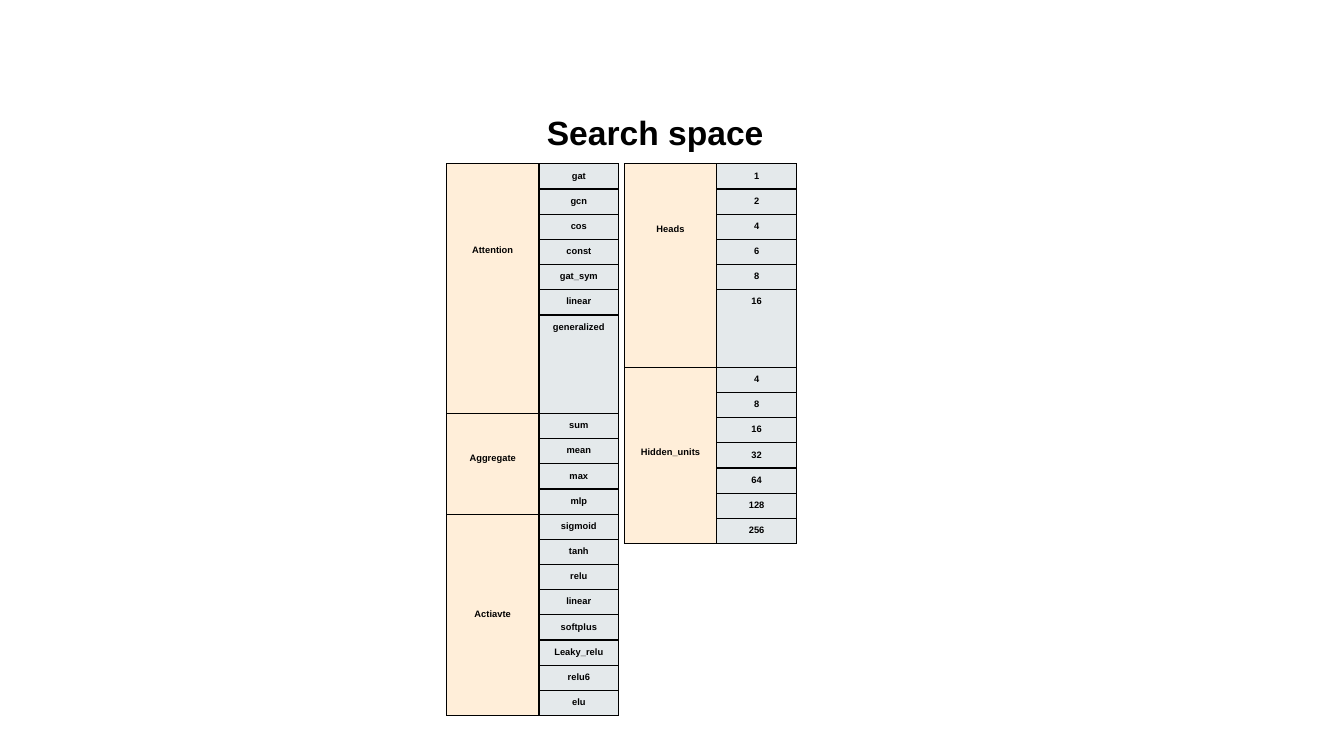
from dataclasses import dataclass

from lxml.etree import SubElement
from pptx import Presentation
from pptx.dml.color import RGBColor as RGB
from pptx.enum.text import MSO_ANCHOR as ANCHOR, MSO_AUTO_SIZE as AUTOSIZE, PP_ALIGN as ALIGN
from pptx.oxml.ns import qn
from pptx.util import Inches, Pt

SCALE = Inches(1) // 96
COLS = (66, 57)
ROW_H = 18
TABLE_TOP = 117
LEFT_GROUPS = [
    ("Attention", 58, 69, "gat gcn cos const gat_sym linear generalized"),
    ("Aggregate", 28, ROW_H, "sum mean max mlp"),
    ("Actiavte", 68, ROW_H, "sigmoid tanh relu linear softplus Leaky_relu relu6 elu"),
]
RIGHT_GROUPS = [
    ("Heads", 43, 55, "1 2 4 6 8 16"),
    ("Hidden_units", 57, ROW_H, "4 8 16 32 64 128 256"),
]


@dataclass(frozen=True)
class Theme:
    """Colours, font and type sizes of the slide."""
    font: str = "Arial"
    ink: RGB = RGB(0, 0, 0)
    label: RGB = RGB(0xFF, 0xEE, 0xD9)
    option: RGB = RGB(0xE4, 0xE9, 0xEB)
    title_size: Pt = Pt(18)
    cell_size: Pt = Pt(5)
    border: Pt = Pt(0.75)


THEME = Theme()


def px(n):
    """Turn pixels into EMU."""
    return n * SCALE


def set_attrs(obj, values):
    """Set each named attribute on an object."""
    for name, value in values.items():
        setattr(obj, name, value)


def write(tf, text, size, align):
    """Write one bold line of text."""
    p = tf.paragraphs[0]
    p.alignment = align
    r = p.add_run()
    r.text = text
    set_attrs(r.font, {"name": THEME.font, "size": size, "bold": True})
    r.font.color.rgb = THEME.ink


def add_borders(cell):
    """Draw a solid line on all four sides of a cell."""
    tcPr = cell._tc.get_or_add_tcPr()
    for i, side in enumerate(("lnL", "lnR", "lnT", "lnB")):
        ln = SubElement(tcPr, qn(f"a:{side}"), w=str(THEME.border))
        fill = SubElement(ln, qn("a:solidFill"))
        SubElement(fill, qn("a:srgbClr"), val=str(THEME.ink))
        tcPr.remove(ln)
        tcPr.insert(i, ln)


def style_cell(cell, fill):
    """Give a cell its fill, borders and side margins."""
    cell.fill.solid()
    cell.fill.fore_color.rgb = fill
    set_attrs(cell, {"margin_left": px(4), "margin_right": px(4),
                     "vertical_anchor": ANCHOR.TOP})
    add_borders(cell)


def add_title(s, text, box):
    """Place the slide title in its placeholder."""
    sp = s.shapes.title
    set_attrs(sp, dict(zip(("left", "top", "width", "height"), map(px, box))))
    tf = sp.text_frame
    set_attrs(tf, {"word_wrap": True, "auto_size": AUTOSIZE.NONE,
                   "vertical_anchor": ANCHOR.TOP})
    write(tf, text, THEME.title_size, ALIGN.LEFT)


def add_group(table, start, label, drop, last_h, options):
    """Fill one merged label with its options and return the next row."""
    end = start + len(options)
    for row, option in enumerate(options, start):
        table.rows[row].height = px(last_h if row == end - 1 else ROW_H)
        style_cell(table.cell(row, 0), THEME.label)
        cell = table.cell(row, 1)
        style_cell(cell, THEME.option)
        write(cell.text_frame, option, THEME.cell_size, ALIGN.CENTER)
    head = table.cell(start, 0)
    head.merge(table.cell(end - 1, 0))
    head.margin_top = px(drop)
    write(head.text_frame, label, THEME.cell_size, ALIGN.CENTER)
    return end


def add_options_table(s, left, groups):
    """Add a two-column table of labels and their options."""
    groups = [(label, drop, last_h, names.split())
              for label, drop, last_h, names in groups]
    count = sum(len(options) for *_, options in groups)
    table = s.shapes.add_table(count, len(COLS), px(left), px(TABLE_TOP),
                               px(sum(COLS)), px(ROW_H * count)).table
    set_attrs(table, {"first_row": False, "horz_banding": False})
    for col, width in zip(table.columns, COLS):
        col.width = px(width)
    row = 0
    for group in groups:
        row = add_group(table, row, *group)


def main():
    """Build and save the slide."""
    prs = Presentation()
    set_attrs(prs, {"slide_width": px(960), "slide_height": px(540)})
    s = prs.slides.add_slide(prs.slide_layouts[5])
    add_options_table(s, 319, LEFT_GROUPS)
    add_options_table(s, 446, RIGHT_GROUPS)
    add_title(s, "Search space", (381, 75, 187, 38))
    prs.save("out.pptx")


if __name__ == "__main__":
    main()
